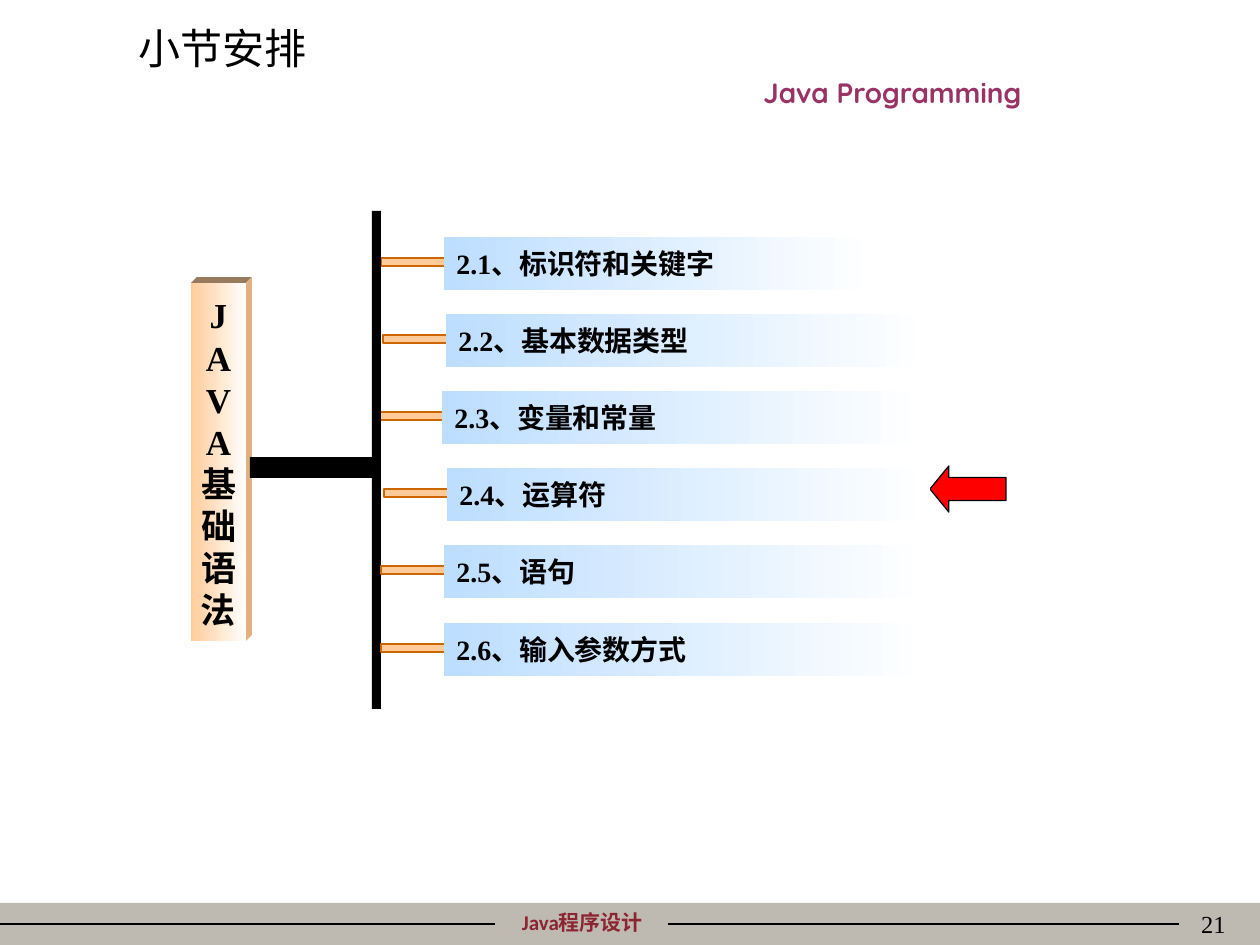
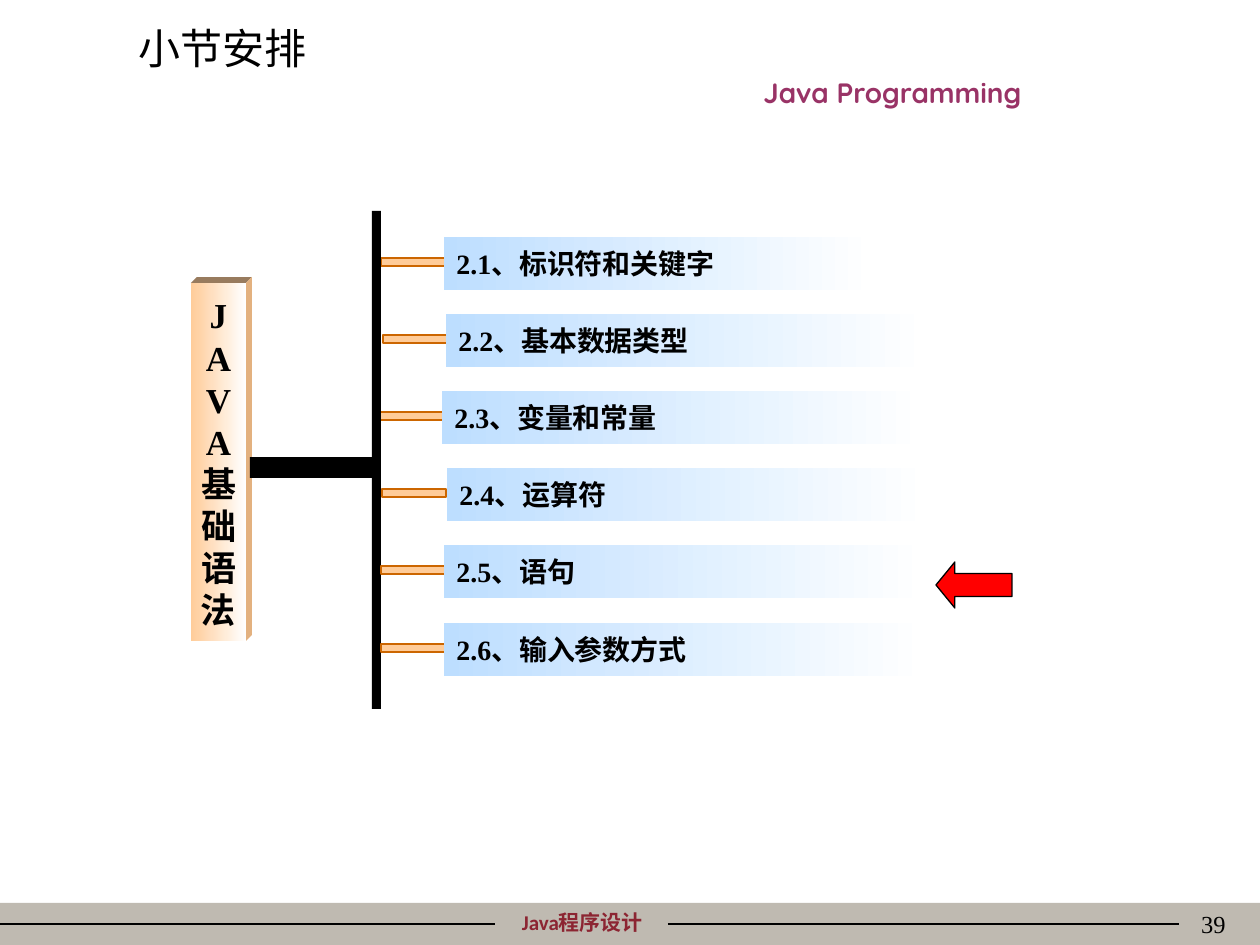
import dataclasses

import lxml.etree
import pptx
import pptx.dml.color
import pptx.enum.shapes
import pptx.enum.text
import pptx.oxml.ns
import pptx.util

SHAPE = pptx.enum.shapes.MSO_SHAPE
ALIGN = pptx.enum.text.PP_ALIGN
ANCHOR = pptx.enum.text.MSO_ANCHOR
PX_PER_INCH = 126


@dataclasses.dataclass(frozen=True)
class Theme:
    ink: str = "000000"
    paper: str = "FFFFFF"
    band: str = "BFBAB1"
    course: str = "8C2532"
    brand: str = "993366"
    sky: str = "BDDEFF"
    peach: str = "FFCC99"
    peach_side: str = "E3B17F"
    peach_top: str = "987B5E"
    orange: str = "CC6600"
    red: str = "FF0000"
    serif: str = "Times New Roman"
    sans: str = "Calibri"
    display: str = "Quicksand"
    cjk: str = "Noto Sans CJK SC"
    title_size: int = 24
    pillar_size: int = 20
    item_size: int = 16
    number_size: int = 14
    footer_size: int = 12
    line_width: float = 0.75


SECTIONS = [
    # text, bar left, bar width
    ("2.1、标识符和关键字", 444, 430),
    ("2.2、基本数据类型", 446, 483),
    ("2.3、变量和常量", 442, 483),
    ("2.4、运算符", 447, 483),
    ("2.5、语句", 444, 483),
    ("2.6、输入参数方式", 444, 483),
]
SPINE_BEFORE = 3
BAR_TOP, BAR_HEIGHT = 237, 53
TICK_WIDTH, TICK_HEIGHT, TICK_DROP = 64, 8, 21


def px(n):
    return pptx.util.Emu(round(n * 914400 / PX_PER_INCH))


def rgb(code):
    return pptx.dml.color.RGBColor.from_string(code)


def fill_text(tf, text, *, size, color, font, cjk, bold=False, align=ALIGN.LEFT,
              anchor=ANCHOR.MIDDLE, leading=None, side_inset=None):
    """Fill a text frame, one paragraph for each line of text."""
    tf.word_wrap = True
    tf.vertical_anchor = anchor
    if side_inset is not None:
        tf.margin_left = tf.margin_right = px(side_inset)
    for i, line in enumerate(text.split("\n")):
        p = tf.add_paragraph() if i else tf.paragraphs[0]
        p.alignment = align
        if leading:
            p.line_spacing = pptx.util.Pt(leading)
        r = p.add_run()
        r.text = line
        r.font.size = pptx.util.Pt(size)
        r.font.bold = bold
        r.font.color.rgb = rgb(color)
        r.font.name = font
        lxml.etree.SubElement(r._r.get_or_add_rPr(), pptx.oxml.ns.qn("a:ea"), typeface=cjk)


class Deck:
    def __init__(self, theme):
        self.theme = theme
        self.prs = pptx.Presentation()
        self.prs.slide_width = px(1260)
        self.prs.slide_height = px(945)
        self.slide = None

    def new_slide(self, title, number):
        t = self.theme
        self.slide = self.prs.slides.add_slide(self.prs.slide_layouts[5])
        self.slide.background.fill.solid()
        self.slide.background.fill.fore_color.rgb = rgb(t.paper)
        self.box(0, 903, 1260, 42, fill=t.band)
        self.text(456, 903, 253, 38, "Java程序设计", size=t.footer_size,
                  color=t.course, font=t.sans, bold=True, align=ALIGN.CENTER)
        self.line(0, 495, 924)
        self.line(668, 1179, 924)
        self.text(640, 69, 505, 47, "Java Programming", size=t.item_size,
                  color=t.brand, font=t.display, bold=True, align=ALIGN.CENTER)
        self.text(976, 903, 262, 63, str(number), size=t.number_size,
                  align=ALIGN.RIGHT, anchor=ANCHOR.TOP)
        sp = self.slide.shapes.title
        sp.left, sp.top, sp.width, sp.height = px(126), px(16), px(359), px(63)
        self.label(sp, title, size=t.title_size, font=t.cjk)

    def label(self, sp, text, **fmt):
        t = self.theme
        fill_text(sp.text_frame, text, **{"color": t.ink, "font": t.serif, "cjk": t.cjk, **fmt})

    def text(self, x, y, w, h, text, **fmt):
        self.label(self.slide.shapes.add_textbox(px(x), px(y), px(w), px(h)), text, **fmt)

    def paint(self, sp, fill, line=None, fade=False):
        """Colour a shape; with fade, the fill runs to paper at its right edge."""
        sp.shadow.inherit = False
        if fade:
            sp.fill.gradient()
            sp.fill.gradient_angle = 0
            for stop, code in zip(sp.fill.gradient_stops, (fill, self.theme.paper)):
                stop.color.rgb = rgb(code)
        else:
            sp.fill.solid()
            sp.fill.fore_color.rgb = rgb(fill)
        if line:
            sp.line.color.rgb = rgb(line)
            sp.line.width = pptx.util.Pt(self.theme.line_width)
        else:
            sp.line.fill.background()

    def box(self, x, y, w, h, kind=SHAPE.RECTANGLE, **look):
        sp = self.slide.shapes.add_shape(kind, px(x), px(y), px(w), px(h))
        self.paint(sp, **look)
        return sp

    def polygon(self, points, fill):
        (x, y), *rest = [(px(a), px(b)) for a, b in points]
        builder = self.slide.shapes.build_freeform(x, y)
        builder.add_line_segments(rest, close=True)
        self.paint(builder.convert_to_shape(), fill)

    def line(self, x1, x2, y):
        cxn = self.slide.shapes.add_connector(
            pptx.enum.shapes.MSO_CONNECTOR.STRAIGHT, px(x1), px(y), px(x2), px(y))
        cxn.line.color.rgb = rgb(self.theme.ink)
        cxn.line.width = pptx.util.Pt(self.theme.line_width)
        lxml.etree.SubElement(cxn._element.spPr, pptx.oxml.ns.qn("a:effectLst"))

    def pillar(self, text, x, y, w, h, depth):
        """Draw a block seen from the front, with its top and right faces."""
        t = self.theme
        right, bottom = x + w, y + h
        self.polygon([(x, y), (x + depth, y - depth), (right + depth, y - depth),
                      (right, y)], t.peach_top)
        self.polygon([(right, y), (right + depth, y - depth),
                      (right + depth, bottom - depth), (right, bottom)], t.peach_side)
        sp = self.box(x, y, w, h, fill=t.peach, fade=True)
        self.label(sp, text, size=t.pillar_size, bold=True, align=ALIGN.CENTER,
                   leading=24, side_inset=8)

    def section(self, text, x, y, w, tick_x):
        t = self.theme
        self.box(tick_x, y + TICK_DROP, TICK_WIDTH, TICK_HEIGHT, fill=t.peach, line=t.orange)
        sp = self.box(x, y, w, BAR_HEIGHT, fill=t.sky, fade=True)
        self.label(sp, text, size=t.item_size, bold=True, align=ALIGN.JUSTIFY)

    def pointer(self, x, y):
        sp = self.box(x, y, 76, 46, SHAPE.LEFT_ARROW, fill=self.theme.red, line=self.theme.ink)
        sp.adjustments[1] = 0.41

    def outline(self, number, pointer_at, tick_shift):
        """Build one section overview; tick_shift moves the ticks of given rows."""
        ink = self.theme.ink
        self.new_slide("小节安排", number)
        self.pointer(*pointer_at)
        self.pillar("J\nA\nV\nA\n基础语法", 191, 283, 55, 358, depth=6)
        self.box(250, 457, 125, 21, fill=ink)
        for i, (text, x, w) in enumerate(SECTIONS):
            if i == SPINE_BEFORE:
                self.box(372, 211, 9, 498, fill=ink)
            y = BAR_TOP + 386 * i // 5
            self.section(text, x, y, w, x - TICK_WIDTH + 1 + tick_shift.get(i, 0))


def main():
    deck = Deck(Theme())
    deck.outline(21, pointer_at=(930, 466), tick_shift={})
    deck.outline(39, pointer_at=(936, 562), tick_shift={3: -2})
    deck.prs.save("out.pptx")


if __name__ == "__main__":
    main()
